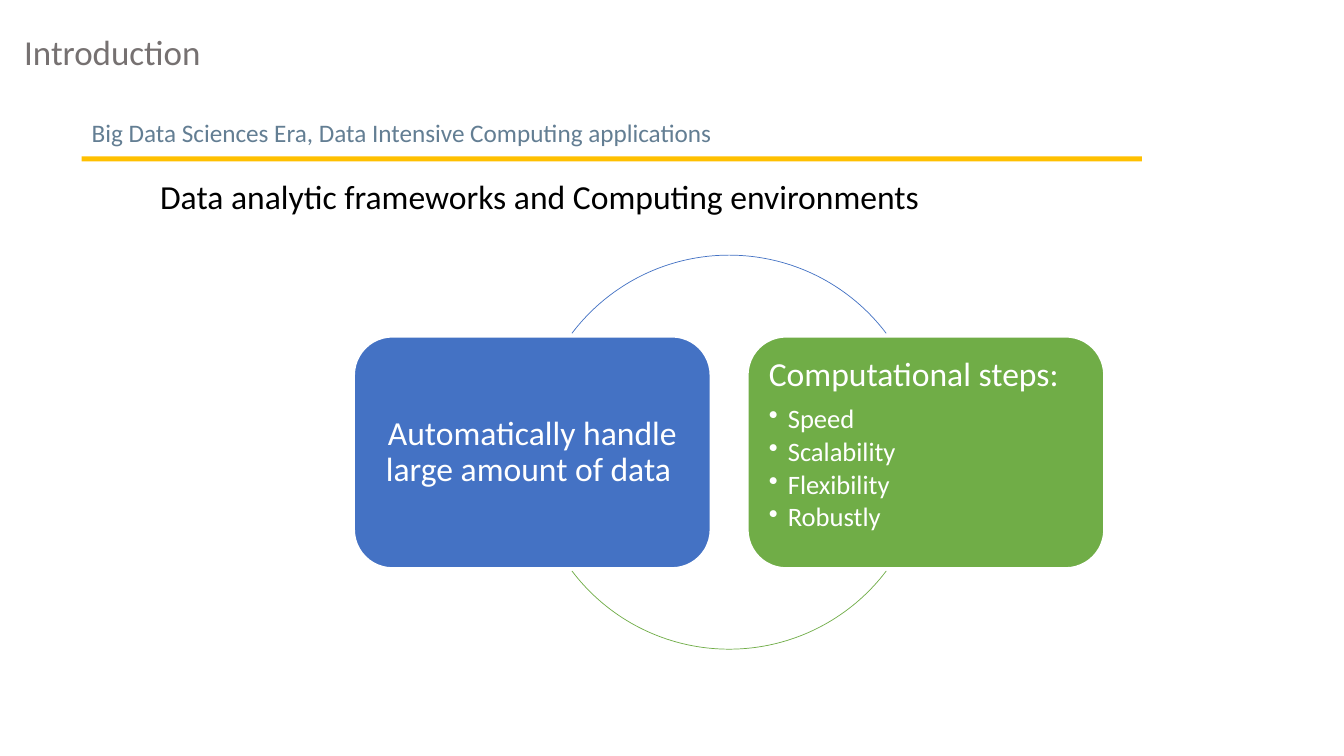
from lxml.etree import SubElement
from pptx import Presentation
from pptx.dml.color import RGBColor
from pptx.enum.shapes import MSO_SHAPE
from pptx.enum.text import MSO_ANCHOR, MSO_AUTO_SIZE, PP_ALIGN
from pptx.oxml.ns import qn
from pptx.util import Cm, Pt

BLACK = RGBColor(0x00, 0x00, 0x00)
WHITE = RGBColor(0xFF, 0xFF, 0xFF)
GRAY = RGBColor(0x76, 0x71, 0x71)
SLATE = RGBColor(0x63, 0x7E, 0x93)
GOLD = RGBColor(0xFF, 0xC0, 0x00)
BLUE = RGBColor(0x44, 0x72, 0xC4)
GREEN = RGBColor(0x70, 0xAD, 0x47)

FONT = "Calibri"
STEPS = ("Speed", "Scalability", "Flexibility", "Robustly")

# Cycle diagram geometry, in centimetres
CARD_LEFT, CARD_TOP, CARD_PITCH = 8.92, 8.48, 9.92
CARD_WIDTH, CARD_HEIGHT = 8.99, 5.84
RING_LEFT, RING_TOP, RING_SIZE = 13.41, 6.43, 9.93
RING_ANGLE = 37.1  # degrees between the horizontal and an arc end


def write(paragraph, text, size, color, align=PP_ALIGN.LEFT,
          line_spacing=None, space_after=0, bullet=False):
    """Fill one paragraph with formatted text."""
    paragraph.alignment = align
    paragraph.line_spacing = line_spacing
    paragraph.space_before = Pt(0)
    paragraph.space_after = Pt(space_after)
    if bullet:
        properties = paragraph._p.get_or_add_pPr()
        properties.set("marL", str(Cm(0.48)))
        properties.set("indent", str(-Cm(0.48)))
        SubElement(properties, qn("a:buChar")).set("char", "•")
    run = paragraph.add_run()
    run.text = text
    run.font.name = FONT
    run.font.size = Pt(size)
    run.font.color.rgb = color


def add_label(slide, left, top, width, height, text, **text_format):
    label = slide.shapes.add_textbox(Cm(left), Cm(top), Cm(width), Cm(height))
    label.text_frame.word_wrap = True
    write(label.text_frame.paragraphs[0], text, **text_format)


def add_filled(slide, preset, left, top, width, height, color):
    shape = slide.shapes.add_shape(
        preset, Cm(left), Cm(top), Cm(width), Cm(height))
    shape.shadow.inherit = False
    shape.fill.solid()
    shape.fill.fore_color.rgb = color
    shape.line.fill.background()
    return shape


def add_card(slide, index, color, anchor):
    """Add a rounded card and return its text frame."""
    card = add_filled(slide, MSO_SHAPE.ROUNDED_RECTANGLE,
                      CARD_LEFT + index * CARD_PITCH, CARD_TOP,
                      CARD_WIDTH, CARD_HEIGHT, color)
    card.line.color.rgb = WHITE
    card.line.width = Pt(1.5)
    frame = card.text_frame
    frame.word_wrap = True
    frame.vertical_anchor = anchor
    frame.margin_left = frame.margin_right = Cm(0.25)
    frame.margin_top = frame.margin_bottom = Cm(0.25)
    return frame


def add_ring_arc(slide, start, color):
    """Add an arc of the ring, clockwise from start, in degrees."""
    arc = slide.shapes.add_shape(
        MSO_SHAPE.ARC, Cm(RING_LEFT), Cm(RING_TOP),
        Cm(RING_SIZE), Cm(RING_SIZE))
    arc.shadow.inherit = False
    arc.fill.background()
    arc.line.color.rgb = color
    arc.line.width = Pt(0.5)
    # Angles are stored in 60000ths of a degree, adjustments in 100000ths
    arc.adjustments[0] = start * 0.6
    arc.adjustments[1] = (start + 180 - 2 * RING_ANGLE) * 0.6


def place_title(slide):
    title = slide.shapes.title
    title.left, title.top = Cm(3.78), Cm(4.11)
    title.width, title.height = Cm(29.21), Cm(3.68)
    frame = title.text_frame
    frame.auto_size = MSO_AUTO_SIZE.NONE
    frame.word_wrap = True
    frame.vertical_anchor = MSO_ANCHOR.TOP
    frame.margin_top = Cm(0.44)
    write(frame.paragraphs[0],
          "Data analytic frameworks and Computing environments",
          size=24, color=BLACK, line_spacing=0.9)


def main():
    presentation = Presentation()
    presentation.slide_width = Cm(33.87)
    presentation.slide_height = Cm(19.05)
    slide = presentation.slides.add_slide(presentation.slide_layouts[5])
    place_title(slide)

    # Data card and upper arc
    data_card = add_card(slide, 0, BLUE, MSO_ANCHOR.MIDDLE)
    write(data_card.paragraphs[0], "Automatically handle large amount of data ",
          size=24, color=WHITE, align=PP_ALIGN.CENTER, line_spacing=0.9)
    add_ring_arc(slide, 180 + RING_ANGLE, BLUE)

    # Steps card and lower arc
    steps_card = add_card(slide, 1, GREEN, MSO_ANCHOR.TOP)
    write(steps_card.paragraphs[0], "Computational steps:",
          size=24, color=WHITE, line_spacing=0.9, space_after=8.4)
    for step in STEPS:
        write(steps_card.add_paragraph(), step, size=19, color=WHITE,
              line_spacing=0.9, space_after=2.85, bullet=True)
    add_ring_arc(slide, RING_ANGLE, GREEN)

    # Section headings and rule
    add_label(slide, 2.06, 2.84, 23.57, 1.03,
              "Big Data Sciences Era, Data Intensive Computing applications",
              size=18, color=SLATE)
    add_filled(slide, MSO_SHAPE.RECTANGLE, 2.06, 3.94, 26.72, 0.13, GOLD)
    add_label(slide, 0.36, 0.64, 16.59, 1.32, "Introduction",
              size=25, color=GRAY)

    presentation.save("out.pptx")


if __name__ == "__main__":
    main()
